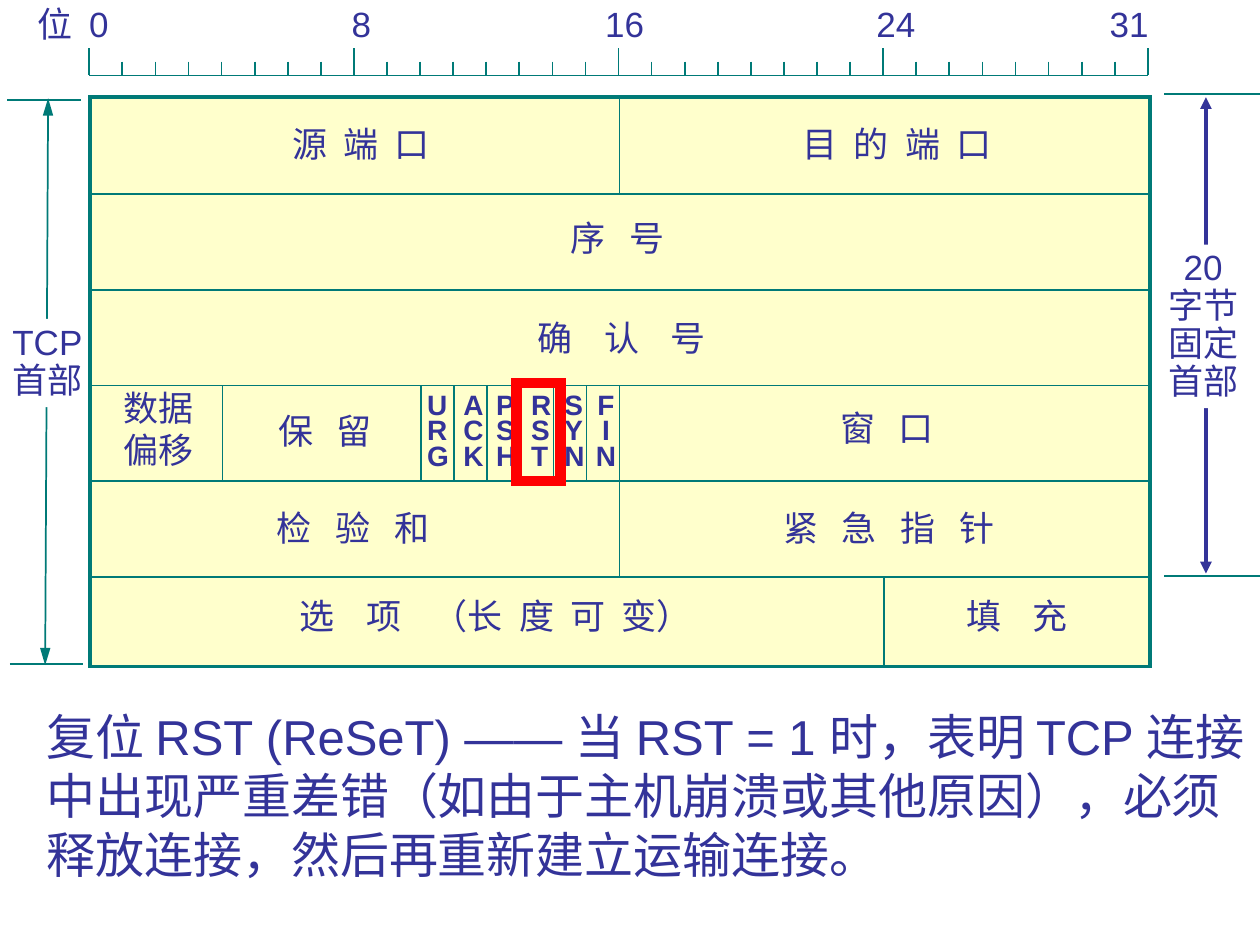
"""Build a slide showing the TCP header layout with the RST flag marked."""
from lxml.etree import SubElement
from pptx import Presentation
from pptx.dml.color import RGBColor
from pptx.enum.shapes import MSO_CONNECTOR, MSO_SHAPE
from pptx.enum.text import MSO_AUTO_SIZE, PP_ALIGN
from pptx.oxml.ns import qn
from pptx.util import Cm, Pt

TEAL = RGBColor(0x00, 0x7A, 0x77)
NAVY = RGBColor(0x33, 0x33, 0x99)
CREAM = RGBColor(0xFF, 0xFF, 0xCC)
WHITE = RGBColor(0xFF, 0xFF, 0xFF)
RED = RGBColor(0xFF, 0x00, 0x00)

LEFT, TOP, WIDTH, HEIGHT = 1.82, 1.96, 21.36, 11.48
RIGHT = LEFT + WIDTH
SCALE_LEFT, SCALE_WIDTH = 1.8, 21.34
BIT = SCALE_WIDTH / 32
ROW = 1.93
ROW_LINES = [3.91 + ROW * index for index in range(5)]
NARROW, MEDIUM, BROAD = 2.4, 4.5, 6.75

deck = Presentation()
deck.slide_width, deck.slide_height = Cm(25.4), Cm(19.05)
page = deck.slides.add_slide(deck.slide_layouts[6])


def add_line(x1, y1, x2, y2, color=TEAL, weight=1, arrow=None):
    line = page.shapes.add_connector(
        MSO_CONNECTOR.STRAIGHT, Cm(x1), Cm(y1), Cm(x2), Cm(y2))
    line.line.color.rgb = color
    line.line.width = Pt(weight)
    properties = line._element.spPr
    if arrow:
        for end in ("a:headEnd", "a:tailEnd"):
            SubElement(properties.find(qn("a:ln")), qn(end),
                       type="triangle", w="med", len=arrow)
    SubElement(properties, qn("a:effectLst"))


def add_label(paragraphs, left, top, width, height, wrap=False, size=20,
              bold=False, align=PP_ALIGN.LEFT, spacing=None):
    box = page.shapes.add_textbox(Cm(left), Cm(top), Cm(width), Cm(height))
    frame = box.text_frame
    frame.word_wrap = wrap
    frame.auto_size = MSO_AUTO_SIZE.SHAPE_TO_FIT_TEXT
    for index, runs in enumerate(paragraphs):
        para = frame.add_paragraph() if index else frame.paragraphs[0]
        para.alignment = align
        para.line_spacing = spacing
        for text, tracking in runs:
            span = para.add_run()
            span.text = text
            span.font.name = "Arial"
            span.font.size = Pt(size)
            span.font.bold = bold
            span.font.color.rgb = NAVY
            if tracking:
                span._r.get_or_add_rPr().set("spc", str(round(tracking * 100)))
    return box


add_line(0.97, 1.98, 0.91, 13.41, arrow="lg")
add_line(24.31, 1.96, 24.31, 11.56, NAVY, 2.25, arrow="med")
side_labels = [
    (["TCP", "首部"], 0, 6.43, 1.78, PP_ALIGN.LEFT),
    (["20", "字节", "固定", "首部"], 23.29, 4.93, 3.3, PP_ALIGN.CENTER),
]
for lines, left, top, height, align in side_labels:
    box = add_label([[(text, 0)] for text in lines], left, top, 1.93, height,
                    align=align, spacing=0.9)
    box.fill.solid()
    box.fill.fore_color.rgb = WHITE

header = page.shapes.add_shape(
    MSO_SHAPE.RECTANGLE, Cm(LEFT), Cm(TOP), Cm(WIDTH), Cm(HEIGHT))
header.fill.solid()
header.fill.fore_color.rgb = CREAM

for y in ROW_LINES:
    add_line(LEFT, y, RIGHT, y)

column_lines = [(16, TOP, ROW_LINES[0]), (16, ROW_LINES[2], ROW_LINES[4]),
                (24, ROW_LINES[4], TOP + HEIGHT)]
column_lines += [(bit, ROW_LINES[2], ROW_LINES[3])
                 for bit in (4, 10, 11, 12, 13, 14, 15)]
for bit, start, end in column_lines:
    x = SCALE_LEFT + bit * BIT + 0.02
    add_line(x, start, x, end)

field_labels = [
    ([("源 端 ", NARROW), ("口", 0)], 5.64, 2.34, 3.45),
    ([("目 的 端 ", NARROW), ("口", 0)], 15.93, 2.34, 4.49),
    ([("序 ", MEDIUM), ("号", 0)], 11.25, 4.24, 3.84),
    ([("确 认 ", BROAD), ("号", 0)], 10.59, 6.25, 5.11),
    ([("保 ", MEDIUM), ("留", 0)], 5.36, 8.13, 2.59),
    ([("窗 ", MEDIUM), ("口", 0)], 16.69, 8.08, 2.59),
    ([("检 验 ", MEDIUM), ("和", 0)], 5.33, 10.08, 3.78),
    ([("紧 急 指 ", MEDIUM), ("针", 0)], 15.54, 10.08, 4.95),
    ([("选 项 ", BROAD), ("（", 0), ("长 度 可 ", NARROW), ("变）", 0)],
     5.79, 11.86, 8.89),
    ([("填 ", BROAD), ("充", 0)], 19.23, 11.86, 3.48),
]
for runs, left, top, width in field_labels:
    add_label([runs], left, top, width, 1.09, True)
add_label([[("数据", 0)], [("偏移", 0)]], 2.24, 7.67, 1.93, 1.93)

flags = [("URG", 8.36), ("ACK", 9.09), ("PSH", 9.75),
         ("RST", 10.46), ("SYN", 11.13), ("FIN", 11.76)]
for flag, left in flags:
    add_label([[(letter, 0)] for letter in flag], left, 7.85, 0.91, 1.78,
              size=16, bold=True, spacing=0.75,
              align=PP_ALIGN.CENTER if flag == "FIN" else PP_ALIGN.LEFT)

add_line(SCALE_LEFT, 1.52, SCALE_LEFT + SCALE_WIDTH, 1.52)
for bit in range(33):
    x = SCALE_LEFT + bit * BIT
    add_line(x, 1.24 if bit % 8 else 0.97, x, 1.52)

scale = add_label([[("位\t0\t8\t16\t24\t31", 0)]],
                  0.51, -0.08, 22.96, 1.09, True)
tabs = SubElement(scale.text_frame.paragraphs[0]._p.get_or_add_pPr(),
                  qn("a:tabLst"))
for position in (1.04, 6.33, 11.44, 16.91, 21.61):
    SubElement(tabs, qn("a:tab"), pos=str(Cm(position)), algn="l")

for x1, x2, y in ((23.47, 25.4, 1.9), (23.47, 25.4, 11.61),
                  (0.15, 1.63, 2.01), (0.2, 1.68, 13.39)):
    add_line(x1, y, x2, y)

add_label([[("复位 RST (ReSeT) —— 当 RST = 1 时，表明 TCP 连接中出现严重差错"
             "（如由于主机崩溃或其他原因），必须释放连接，然后再重新建立运输连接。", 0)]],
          0.69, 14.12, 24.71, 3.81, True, 28)

marker = page.shapes.add_shape(
    MSO_SHAPE.RECTANGLE, Cm(10.41), Cm(7.72), Cm(0.89), Cm(1.98))
marker.fill.background()

for shape, color, weight in ((header, TEAL, 2), (marker, RED, 6)):
    shape.shadow.inherit = False
    shape.line.color.rgb = color
    shape.line.width = Pt(weight)
    SubElement(shape._element.spPr.find(qn("a:ln")), qn("a:miter"),
               lim="800000")

deck.save("out.pptx")
